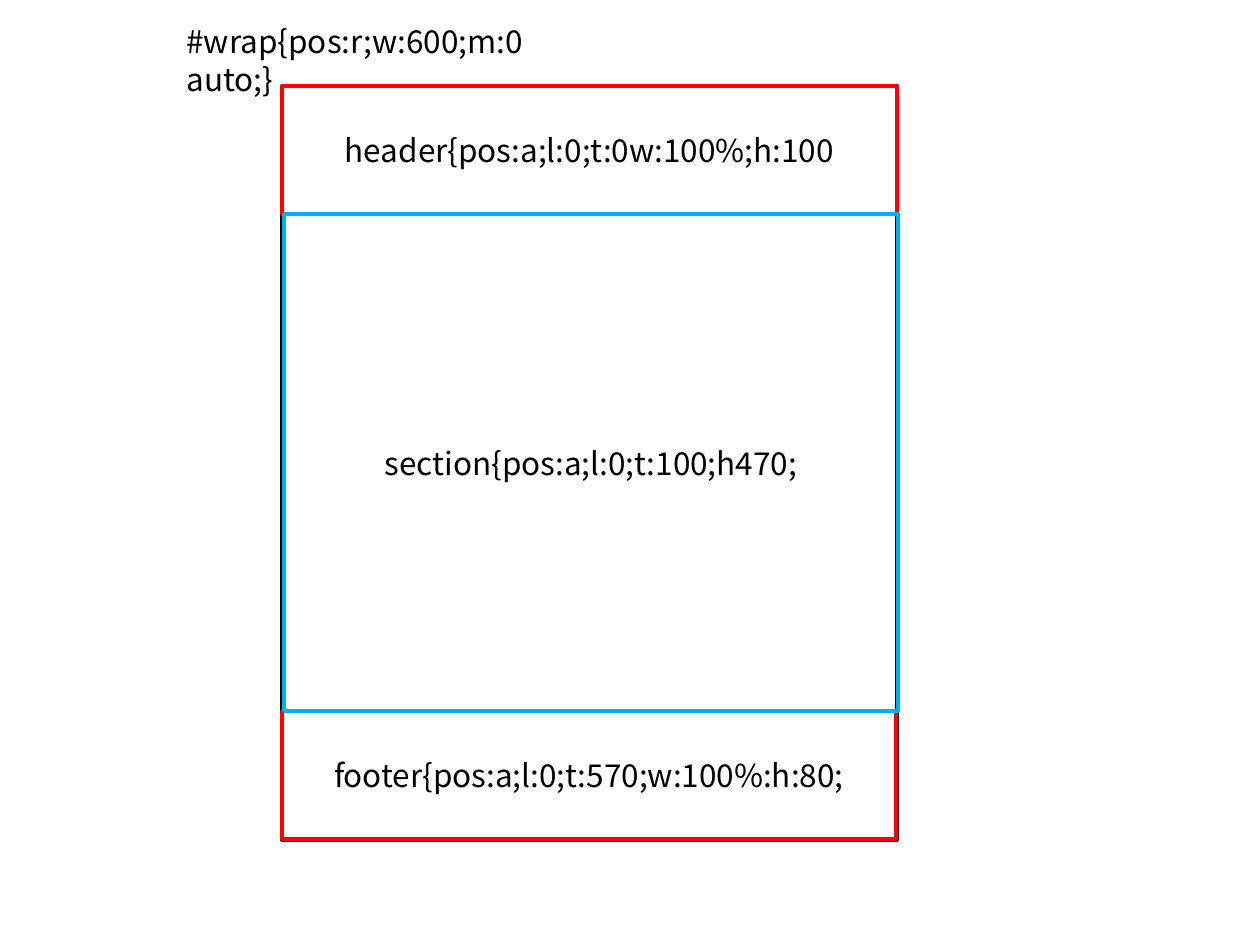
import pptx
import pptx.dml.color
import pptx.enum.shapes
import pptx.enum.text
import pptx.util

BLACK = pptx.dml.color.RGBColor(0x00, 0x00, 0x00)
RED = pptx.dml.color.RGBColor(0xFF, 0x00, 0x00)
BLUE = pptx.dml.color.RGBColor(0x00, 0xB0, 0xF0)
EMU_PER_PIXEL = 914400 // 126


def px(*lengths):
    """Turn whole pixels into EMU."""
    return [pptx.util.Emu(length * EMU_PER_PIXEL) for length in lengths]


def write(frame, text, font="Noto Sans CJK KR", size=18, color=BLACK,
          align=pptx.enum.text.PP_ALIGN.LEFT,
          anchor=pptx.enum.text.MSO_ANCHOR.TOP, spacing=None):
    """Put one formatted line of text into a text frame."""
    frame.word_wrap = True
    frame.vertical_anchor = anchor
    para = frame.paragraphs[0]
    para.alignment = align
    if spacing:
        para.line_spacing = pptx.util.Pt(spacing)
    span = para.add_run()
    span.text = text
    span.font.name = font
    span.font.size = pptx.util.Pt(size)
    span.font.color.rgb = color


class LayoutSketch:
    """Holds the line style and the current slide."""

    def __init__(self, page, line_width=2):
        """Keep the slide and the outline width."""
        self.page = page
        self.line_width = pptx.util.Pt(line_width)

    def block(self, left, top, width, height, color, text=None):
        """Draw an outlined rectangle with optional centred text."""
        box = self.page.shapes.add_shape(
            pptx.enum.shapes.MSO_SHAPE.RECTANGLE, *px(left, top, width, height))
        box.shadow.inherit = False
        box.fill.background()
        box.line.color.rgb = color
        box.line.width = self.line_width
        if text:
            write(box.text_frame, text,
                  align=pptx.enum.text.PP_ALIGN.CENTER,
                  anchor=pptx.enum.text.MSO_ANCHOR.MIDDLE)

    def label(self, left, top, width, height, text, **style):
        """Add free text."""
        box = self.page.shapes.add_textbox(*px(left, top, width, height))
        write(box.text_frame, text, **style)


deck = pptx.Presentation()
deck.slide_width, deck.slide_height = px(1260, 945)
sketch = LayoutSketch(deck.slides.add_slide(deck.slide_layouts[6]))

LEFT, TOP, WIDTH, HEIGHT = 282, 86, 615, 754
BAND = 128
sketch.block(LEFT, TOP, WIDTH, HEIGHT, BLACK)
sketch.label(174, 16, 438, 50, "#wrap{pos:r;w:600;m:0 auto;}", spacing=21.7)
sketch.block(LEFT, TOP, WIDTH, BAND, RED, "header{pos:a;l:0;t:0w:100%;h:100")
sketch.block(LEFT, TOP + HEIGHT - BAND - 1, WIDTH - 1, BAND, RED,
             "footer{pos:a;l:0;t:570;w:100%:h:80;")
sketch.block(LEFT + 2, TOP + BAND, WIDTH - 1, HEIGHT - 2 * BAND - 1, BLUE,
             "section{pos:a;l:0;t:100;h470;")

deck.save("out.pptx")
